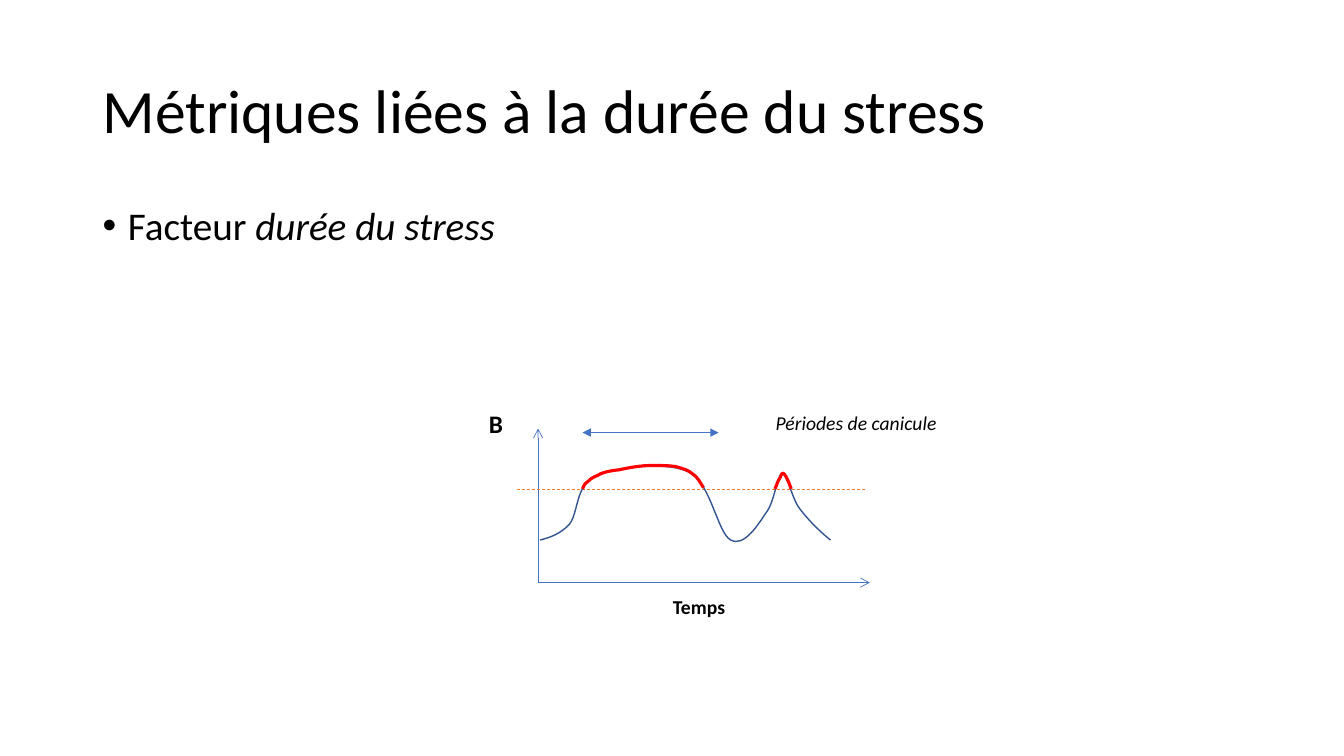
from dataclasses import dataclass

from lxml import etree
from pptx import Presentation
from pptx.dml.color import RGBColor
from pptx.enum.dml import MSO_LINE
from pptx.enum.shapes import MSO_CONNECTOR
from pptx.enum.text import MSO_ANCHOR, MSO_AUTO_SIZE, PP_ALIGN
from pptx.oxml.ns import qn
from pptx.util import Cm, Pt

DASH = MSO_LINE.DASH
STRAIGHT = MSO_CONNECTOR.STRAIGHT
MIDDLE, TOP = MSO_ANCHOR.MIDDLE, MSO_ANCHOR.TOP
NO_FIT = MSO_AUTO_SIZE.NONE
LEFT = PP_ALIGN.LEFT
FONT = "Calibri"
BLACK, BLUE, NAVY, ORANGE, RED = "000000", "4472C4", "325491", "ED7D31", "FF0000"

Point = tuple[float, float]


@dataclass
class Rule:
    start: Point
    end: Point
    color: str = BLUE
    dashed: bool = False
    head: str = ""
    tail: str = ""


@dataclass
class Curve:
    """Start point, then two handles and an end point for each arc."""
    color: str
    width: float
    points: list[Point]


@dataclass
class Label:
    text: str
    box: tuple[float, float, float, float]
    size: int
    bold: bool = False
    italic: bool = False


ORIGIN = (13.56, 14.68)
LIMIT = 12.32

RULES = [
    Rule((ORIGIN[0], 10.8), ORIGIN, head="arrow"),
    Rule((21.92, ORIGIN[1]), ORIGIN, head="arrow"),
    Rule((13.03, LIMIT), (21.84, LIMIT), ORANGE, dashed=True),
    Rule((14.68, 10.9), (18.11, 10.9), head="triangle", tail="triangle"),
]

CURVES = [
    Curve(NAVY, 1, [
        (13.61, 13.61),
        (13.87, 13.54), (14.12, 13.46), (14.35, 13.21),
        (14.58, 12.93), (14.5, 12.22), (15.01, 11.99),
        (15.49, 11.79), (16.76, 11.61), (17.35, 11.89),
        (17.91, 12.14), (18.08, 13.44), (18.42, 13.61),
        (18.75, 13.79), (19.1, 13.23), (19.3, 12.93),
        (19.53, 12.65), (19.58, 11.96), (19.71, 11.94),
        (19.84, 11.91), (19.94, 12.52), (20.14, 12.8),
        (20.35, 13.08), (20.62, 13.36), (20.93, 13.61),
    ]),
    Curve(RED, 2.25, [
        (14.68, LIMIT),
        (14.71, 12.24), (14.73, 12.19), (14.81, 12.14),
        (14.86, 12.09), (14.91, 12.04), (15.04, 11.99),
        (15.16, 11.91), (15.37, 11.86), (15.6, 11.84),
        (15.82, 11.79), (16.15, 11.73), (16.41, 11.73),
        (16.64, 11.73), (16.87, 11.73), (17.04, 11.76),
        (17.2, 11.81), (17.35, 11.84), (17.45, 11.94),
        (17.58, 12.01), (17.65, 12.17), (17.73, 12.29),
    ]),
    Curve(RED, 2.25, [
        (19.53, LIMIT),
        (19.58, 12.22), (19.61, 12.09), (19.66, 12.04),
        (19.69, 11.96), (19.71, 11.89), (19.76, 11.94),
        (19.81, 11.99), (19.89, 12.17), (19.94, LIMIT),
    ]),
]

LABELS = [
    Label("Temps", (16.71, 14.86, 2.26, 0.86), 14, bold=True),
    Label("Périodes de canicule", (19.3, 10.24, 5.03, 0.86), 14, italic=True),
    Label("B", (12.07, 10.16, 1.96, 1.02), 18, bold=True),
]


def paint(target, color: str) -> None:
    """Colour a fill with a hex string."""
    target.solid()
    target.fore_color.rgb = RGBColor.from_string(color)


def style(para, size: int) -> None:
    para.font.name = FONT
    para.font.size = Pt(size)
    paint(para.font.fill, BLACK)


def place(holder, top: float, height: float, anchor):
    """Move a placeholder and return its first paragraph."""
    holder.left, holder.top = Cm(2.33), Cm(top)
    holder.width, holder.height = Cm(29.21), Cm(height)
    frame = holder.text_frame
    frame.auto_size = NO_FIT
    frame.vertical_anchor = anchor
    para = frame.paragraphs[0]
    para.alignment = LEFT
    para.line_spacing = 0.9
    para.space_before = Pt(0)
    return para


def draw_rule(shapes, rule: Rule) -> None:
    ends = [Cm(v) for v in (*rule.start, *rule.end)]
    link = shapes.add_connector(STRAIGHT, *ends)
    paint(link.line.fill, rule.color)
    link.line.width = Pt(0.5)
    if rule.dashed:
        link.line.dash_style = DASH
    props = link._element.spPr
    for tag, kind in (("a:headEnd", rule.head), ("a:tailEnd", rule.tail)):
        if kind:
            etree.SubElement(props.find(qn("a:ln")), qn(tag), type=kind)
    etree.SubElement(props, qn("a:effectLst"))


def draw_curve(shapes, curve: Curve) -> None:
    """Draw a freeform and turn each three segments into one cubic arc."""
    first, *rest = [(Cm(x), Cm(y)) for x, y in curve.points]
    pen = shapes.build_freeform(*first)
    pen.add_line_segments(rest, close=False)
    shape = pen.convert_to_shape()
    shape.shadow.inherit = False
    shape.fill.background()
    paint(shape.line.fill, curve.color)
    shape.line.width = Pt(curve.width)
    steps = shape._element.findall(".//" + qn("a:lnTo"))
    for arc, *others in zip(steps[::3], steps[1::3], steps[2::3]):
        arc.tag = qn("a:cubicBezTo")
        for step in others:
            arc.append(step[0])
            step.getparent().remove(step)


def draw_label(shapes, label: Label) -> None:
    frame = shapes.add_textbox(*map(Cm, label.box)).text_frame
    frame.word_wrap = True
    para = frame.paragraphs[0]
    para.text = label.text
    style(para, label.size)
    para.font.bold, para.font.italic = label.bold, label.italic


def main() -> None:
    deck = Presentation()
    deck.slide_width, deck.slide_height = Cm(33.87), Cm(19.05)
    slide = deck.slides.add_slide(deck.slide_layouts[1])
    shapes = slide.shapes

    title = place(shapes.title, 1.02, 3.68, MIDDLE)
    title.text = "Métriques liées à la durée du stress"
    style(title, 44)

    item = place(slide.placeholders[1], 5.08, 12.09, TOP)
    props = item._p.get_or_add_pPr()
    props.set("marL", str(Cm(0.64)))
    props.set("indent", str(Cm(-0.64)))
    etree.SubElement(props, qn("a:buFont"), typeface="Arial")
    etree.SubElement(props, qn("a:buChar"), char="•")
    item.add_run().text = "Facteur "
    factor = item.add_run()
    factor.text = "durée du stress"
    factor.font.italic = True
    style(item, 28)

    for rule in RULES:
        draw_rule(shapes, rule)
    for curve in CURVES:
        draw_curve(shapes, curve)
    for label in LABELS:
        draw_label(shapes, label)
    deck.save("out.pptx")


if __name__ == "__main__":
    main()
